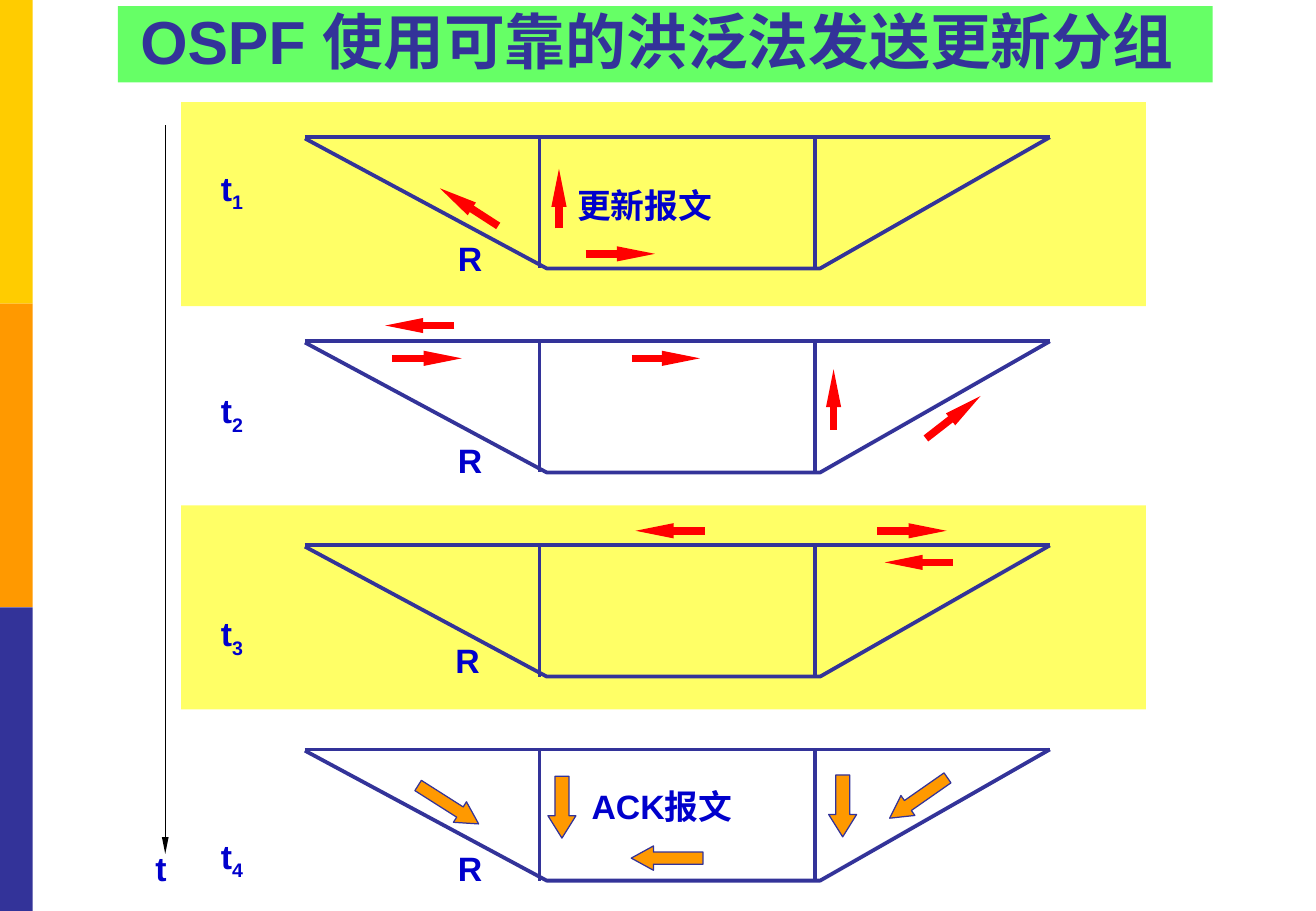
from typing import NamedTuple

from lxml import etree
from pptx import Presentation
from pptx.dml.color import RGBColor
from pptx.enum.shapes import MSO_CONNECTOR, MSO_SHAPE
from pptx.enum.text import MSO_ANCHOR, PP_ALIGN
from pptx.oxml.ns import qn
from pptx.util import Pt

PX = 9144  # 100 px to the inch
RECT, DOWN = MSO_SHAPE.RECTANGLE, MSO_SHAPE.DOWN_ARROW
LINE = MSO_CONNECTOR.STRAIGHT
TOP, BOTTOM = MSO_ANCHOR.TOP, MSO_ANCHOR.BOTTOM
LEFT, CENTER = PP_ALIGN.LEFT, PP_ALIGN.CENTER

HUES = {
    "gold": "FFCC00", "orange": "FF9900", "navy": "333399", "green": "66FF66",
    "yellow": "FFFF66", "blue": "0000CC", "red": "FF0000", "black": "000000",
}
FONT = {"name": "Arial", "size": Pt(20), "bold": True}


class Block(NamedTuple):
    x: int
    y: int
    w: int
    h: int
    hue: str


class Arrow(NamedTuple):
    x1: int
    y1: int
    x2: int
    y2: int


class Ack(NamedTuple):
    x: int
    y: int
    w: int
    h: int
    turn: float
    head: float


class Label(NamedTuple):
    x: int
    y: int
    w: int
    text: str
    wrap: bool = False


BARS = [Block(0, 250 * i, 27, 250, hue)
        for i, hue in enumerate(("gold", "orange", "navy"))]
BANDS = [Block(149, y, 794, 168, "yellow") for y in (84, 416)]
ROWS = [113 + 168 * i for i in range(4)]

UPDATES = [
    # t1
    Arrow(482, 209, 539, 209), Arrow(410, 186, 362, 155),
    Arrow(460, 188, 460, 139),
    # t2
    Arrow(374, 268, 317, 268), Arrow(323, 295, 380, 295),
    Arrow(520, 295, 576, 295), Arrow(686, 354, 686, 304),
    Arrow(762, 361, 807, 326),
    # t3
    Arrow(580, 437, 523, 437), Arrow(722, 437, 779, 437),
    Arrow(784, 463, 728, 463),
]
ACKS = [
    Ack(451, 639, 23, 51, 0, 0.8), Ack(682, 638, 23, 51, 0, 0.8),
    Ack(539, 677, 20, 59, 90, 0.91), Ack(746, 628, 20, 58, 55.1, 0.91),
    Ack(359, 633, 20, 59, 302.4, 0.91),
]
LABELS = [
    Label(465, 147, 132, "更新报文"), Label(477, 642, 138, "ACK报文", True),
    Label(118, 693, 29, "t"),
    Label(367, 191, 41, "R"), Label(367, 357, 41, "R"),
    Label(365, 522, 41, "R"), Label(367, 693, 41, "R"),
]

deck = Presentation()
deck.slide_width, deck.slide_height = 1083 * PX, 750 * PX
slide = deck.slides.add_slide(deck.slide_layouts[6])
shapes = slide.shapes


def color(hue: str) -> RGBColor:
    return RGBColor.from_string(HUES[hue])


def style(run, hue: str, **extra) -> None:
    for key, value in {**FONT, **extra}.items():
        setattr(run.font, key, value)
    run.font.color.rgb = color(hue)


def block(item: Block):
    shape = shapes.add_shape(RECT, *(v * PX for v in item[:4]))
    shape.shadow.inherit = False
    shape.fill.solid()
    shape.fill.fore_color.rgb = color(item.hue)
    shape.line.fill.background()
    return shape


def line(ends: Arrow, hue: str, width: float, head: bool = False) -> None:
    link = shapes.add_connector(LINE, *(v * PX for v in ends))
    link.line.color.rgb = color(hue)
    link.line.width = Pt(width)
    if head:
        etree.SubElement(link.line._get_or_add_ln(), qn("a:tailEnd"),
                         type="triangle", w="sm", len="lg")
    etree.SubElement(link._element.spPr, qn("a:effectLst"))


def network(y: int) -> None:
    line(Arrow(251, y, 864, y), "navy", 2.25)
    path = shapes.build_freeform(251, y + 1, scale=PX)
    path.add_line_segments([(450, y + 108), (675, y + 108), (864, y)], close=False)
    edge = path.convert_to_shape()
    edge.shadow.inherit = False
    edge.fill.background()
    edge.line.color.rgb = color("navy")
    edge.line.width = Pt(2.25)
    for x in (444, 671):
        line(Arrow(x, y, x, y + 108), "navy", 2.25)


def ack(item: Ack) -> None:
    shape = shapes.add_shape(DOWN, *(v * PX for v in item[:4]))
    shape.shadow.inherit = False
    shape.rotation = item.turn
    shape.adjustments[0], shape.adjustments[1] = 0.5, item.head
    shape.fill.solid()
    shape.fill.fore_color.rgb = color("orange")
    shape.line.color.rgb = color("navy")
    shape.line.width = Pt(0.75)


def frame(x: int, y: int, w: int, h: int, wrap: bool):
    text = shapes.add_textbox(x * PX, y * PX, w * PX, h * PX).text_frame
    text.word_wrap = wrap
    text.vertical_anchor = TOP
    return text


def label(item: Label) -> None:
    para = frame(item.x, item.y, item.w, 44, item.wrap).paragraphs[0]
    para.alignment = LEFT
    run = para.add_run()
    run.text = item.text
    style(run, "blue")


# Side bars and title
for bar in BARS:
    block(bar)
title = block(Block(97, 5, 901, 63, "green")).text_frame
title.word_wrap = True
title.vertical_anchor = BOTTOM
title.margin_left, title.margin_right = 5 * PX, 19 * PX
title.paragraphs[0].alignment = CENTER
head = title.paragraphs[0].add_run()
head.text = "OSPF 使用可靠的洪泛法发送更新分组"
style(head, "navy", size=Pt(36))

# Four network states
for band in BANDS:
    block(band)
for row in ROWS:
    network(row)

# Update and acknowledgement arrows
for ends in UPDATES:
    line(ends, "red", 4.5, head=True)
for item in ACKS:
    ack(item)

# Time axis and labels
line(Arrow(136, 103, 136, 703), "black", 0.75, head=True)
for item in LABELS:
    label(item)

# Time marks
marks = frame(172, 131, 40, 576, False)
for i in range(4):
    para = marks.add_paragraph() if i else marks.paragraphs[0]
    para.line_spacing = 1.05
    if i:
        para.space_before = Pt(103.4)
    for text in ("t", str(i + 1)):
        run = para.add_run()
        run.text = text
        style(run, "blue")
    run._r.get_or_add_rPr().set("baseline", "-25000")

deck.save("out.pptx")
